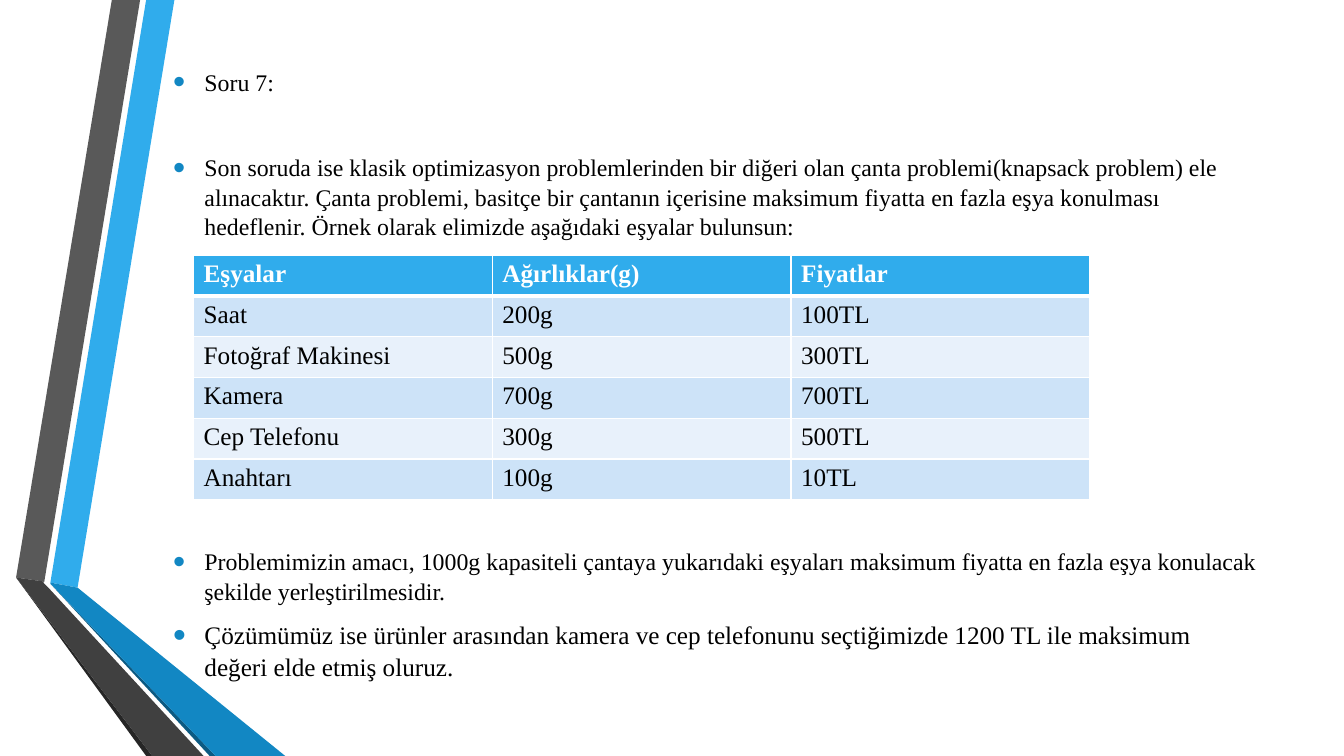
from lxml import etree
from pptx import Presentation
from pptx.dml.color import RGBColor
from pptx.enum import text
from pptx.oxml import ns
from pptx.util import Inches, Pt

# Content: text, size key, space before in points
BULLETS = [
    ("Soru 7:", "body", 0),
    ("Son soruda ise klasik optimizasyon problemlerinden bir diğeri olan çanta "
     "problemi(knapsack problem) ele alınacaktır. Çanta problemi, basitçe bir çantanın "
     "içerisine maksimum fiyatta en fazla eşya konulması hedeflenir. Örnek olarak "
     "elimizde aşağıdaki eşyalar bulunsun:", "body", 33.6),
    ("Problemimizin amacı, 1000g kapasiteli çantaya yukarıdaki eşyaları maksimum fiyatta "
     "en fazla eşya konulacak şekilde yerleştirilmesidir.", "body", 212),
    ("Çözümümüz ise ürünler arasından kamera ve cep telefonunu seçtiğimizde 1200 TL ile "
     "maksimum değeri elde etmiş oluruz.", "large", 3.4),
]
ITEMS = [
    ("Eşyalar", "Ağırlıklar(g)", "Fiyatlar"),
    ("Saat", "200g", "100TL"),
    ("Fotoğraf Makinesi", "500g", "300TL"),
    ("Kamera", "700g", "700TL"),
    ("Cep Telefonu", "300g", "500TL"),
    ("Anahtarı", "100g", "10TL"),
]
# Ribbon outlines in inches, from back to front
RIBBONS = [
    ("sky", [(0.5, 5.78), (0.77, 5.83), (1.73, 0), (1.45, 0)]),
    ("gray", [(1.39, 0), (1.11, 0), (0.16, 5.73), (0.44, 5.77)]),
    ("black", [(0.16, 5.73), (1.45, 7.5), (1.51, 7.5)]),
    ("navy", [(0.5, 5.79), (2.08, 7.5), (2.14, 7.5)]),
    ("blue", [(0.5, 5.79), (2.14, 7.5), (2.83, 7.5), (0.77, 5.83), (0.5, 5.78)]),
    ("charcoal", [(2.02, 7.5), (0.48, 5.83), (0.43, 5.78), (0.44, 5.77),
                  (0.16, 5.73), (1.51, 7.5)]),
]
THEME = {
    "font": "Times New Roman",
    "sizes": {"body": 17, "large": 18},
    "colors": {"sky": "30ACEC", "gray": "595959", "black": "262626", "navy": "0C5A82",
               "blue": "1287C3", "charcoal": "404040", "text": "000000",
               "white": "FFFFFF", "band": "CDE3F8", "pale": "E8F1FB"},
}


def color(name):
    return RGBColor.from_string(THEME["colors"][name])


def write(para, words, size, ink, bold=False):
    span = para.add_run()
    span.text = words
    span.font.color.rgb = color(ink)
    formats = {"name": THEME["font"], "size": Pt(THEME["sizes"][size]), "bold": bold}
    for key, value in formats.items():
        setattr(span.font, key, value)


def add_child(parent, tag, **attributes):
    child = etree.SubElement(parent, ns.qn(tag))
    for key, value in attributes.items():
        child.set(key, str(value))
    return child


def add_bullet(para):
    props = para._p.get_or_add_pPr()
    props.set("marL", str(Inches(0.31)))
    props.set("indent", str(-Inches(0.31)))
    add_child(add_child(props, "a:buClr"), "a:srgbClr", val=THEME["colors"]["blue"])
    add_child(props, "a:buSzPct", val=145000)
    add_child(props, "a:buFont", typeface="Arial")
    add_child(props, "a:buChar", char="•")


def add_borders(cell, bottom):
    props = cell._tc.get_or_add_tcPr()
    for side, width in (("L", 1), ("R", 1), ("T", 1), ("B", bottom)):
        line = add_child(props, f"a:ln{side}", w=Pt(width))
        add_child(add_child(line, "a:solidFill"), "a:srgbClr", val=THEME["colors"]["white"])


deck = Presentation()
deck.slide_width, deck.slide_height = Inches(13.33), Inches(7.5)
page = deck.slides.add_slide(deck.slide_layouts[6])

# Folded ribbons
for name, outline in RIBBONS:
    points = [(Inches(x), Inches(y)) for x, y in outline]
    builder = page.shapes.build_freeform(*points[0])
    builder.add_line_segments(points[1:], close=True)
    ribbon = builder.convert_to_shape()
    ribbon.shadow.inherit = False
    ribbon.fill.solid()
    ribbon.fill.fore_color.rgb = color(name)
    ribbon.line.fill.background()

# Bulleted text, with a gap left for the table
box = page.shapes.add_textbox(Inches(1.62), Inches(0.42), Inches(10.96), Inches(6.85))
frame = box.text_frame
frame_formats = {"word_wrap": True, "vertical_anchor": text.MSO_ANCHOR.TOP,
                 "margin_top": Inches(0.24), "margin_right": Inches(0.09)}
for key, value in frame_formats.items():
    setattr(frame, key, value)
for index, (words, size, before) in enumerate(BULLETS):
    para = frame.add_paragraph() if index else frame.paragraphs[0]
    spacing = {"line_spacing": 1.04, "space_before": Pt(before), "space_after": Pt(6)}
    for key, value in spacing.items():
        setattr(para, key, value)
    add_bullet(para)
    write(para, words, size, "text")

# Item table
table = page.shapes.add_table(len(ITEMS), len(ITEMS[0]), Inches(1.92), Inches(2.53),
                              Inches(8.89), Inches(2.43)).table
for row, values in enumerate(ITEMS):
    header = row == 0
    fill = "sky" if header else ("pale", "band")[row % 2]
    for column, words in enumerate(values):
        cell = table.cell(row, column)
        add_borders(cell, 3 if header else 1)
        cell.fill.solid()
        cell.fill.fore_color.rgb = color(fill)
        write(cell.text_frame.paragraphs[0], words, "large",
              "white" if header else "text", header)

deck.save("out.pptx")
